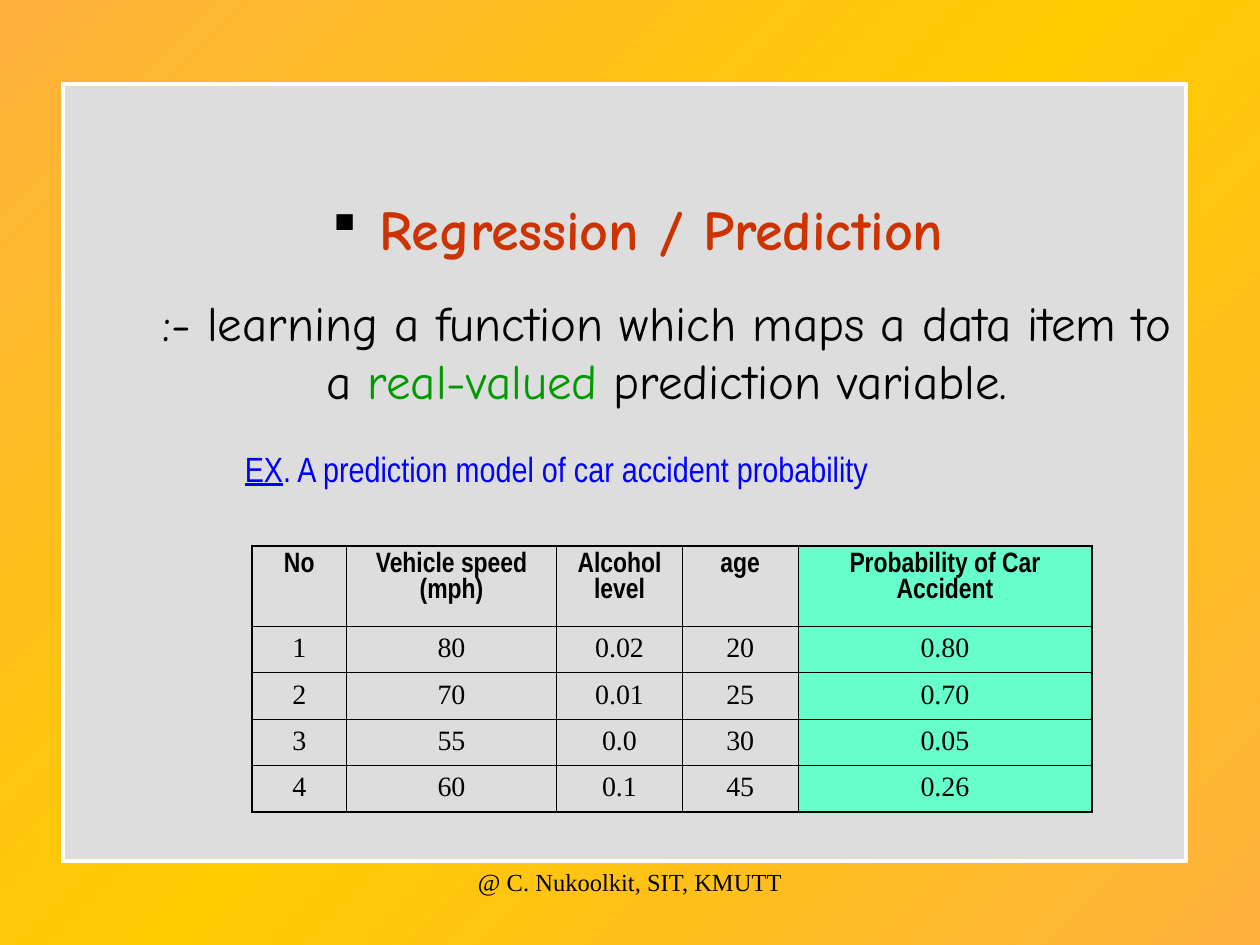
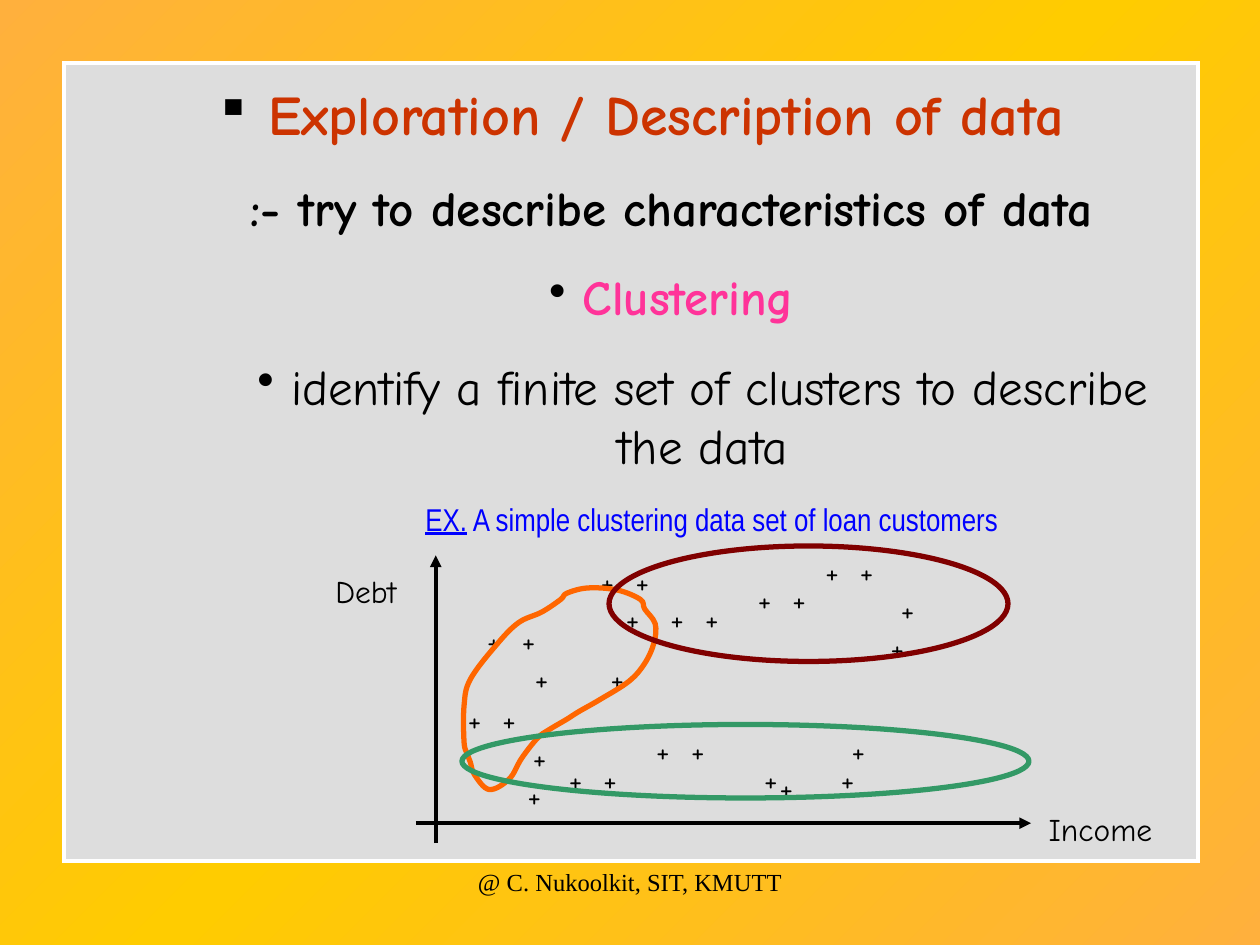
import copy
import dataclasses

import lxml.etree
import pptx
import pptx.dml.color
import pptx.enum.dml
import pptx.enum.shapes
import pptx.enum.text
import pptx.oxml.ns
import pptx.util

qn = pptx.oxml.ns.qn
CELL = pptx.util.Inches(1) // 12
COLUMNS, ROWS = 120, 90
INSET_X, INSET_Y = 1.2, 0.6
POINTS_PER_CELL = 6
PLUS_WIDTH, SPACE_WIDTH = 1.38, 0.98


@dataclasses.dataclass(frozen=True)
class Theme:
    """Colours, fonts and sizes that the slides share."""
    amber: str = "FFB03D"
    gold: str = "FFCC00"
    panel: str = "DDDDDD"
    white: str = "FFFFFF"
    ink: str = "000000"
    heading: str = "CC3300"
    green: str = "009900"
    pink: str = "FF3399"
    blue: str = "0000FF"
    mint: str = "66FFCC"
    orange: str = "FF6600"
    teal: str = "339966"
    maroon: str = "800000"
    comic: str = "Comic Neue"
    narrow: str = "Arial Narrow"
    serif: str = "Times New Roman"
    bullet: str = "OpenSymbol"
    heading_size: float = 32
    body_size: float = 28
    example_size: float = 20
    label_size: float = 18
    table_size: float = 16
    footer_size: float = 14
    frame_width: float = 2.25
    cluster_width: float = 3
    outer_border: float = 1.08
    inner_border: float = 0.45


THEME = Theme()


@dataclasses.dataclass
class Run:
    """A piece of text with one look."""
    text: str
    size: float = THEME.body_size
    font: str = THEME.comic
    color: str = THEME.ink
    bold: bool = False
    underline: bool = False
    spacing: float = 0


@dataclasses.dataclass
class Line:
    """A paragraph with its indent, space before, bullet and alignment."""
    runs: list
    margin: float = 0
    before: float = 0
    bullet: str = ""
    centered: bool = True


def cells(*lengths):
    """Turn grid lengths into slide units."""
    return [pptx.util.Emu(round(length * CELL)) for length in lengths]


def rgb(color):
    """Turn a hex string into a colour."""
    return pptx.dml.color.RGBColor.from_string(color)


def child(parent, tag, **attributes):
    """Append a drawing element with attributes."""
    element = lxml.etree.SubElement(parent, qn(tag))
    for name, value in attributes.items():
        element.set(name, str(value))
    return element


def fill_paragraph(paragraph, line):
    """Write one line into a paragraph, run by run."""
    alignments = pptx.enum.text.PP_ALIGN
    paragraph.alignment = alignments.CENTER if line.centered else alignments.LEFT
    paragraph.space_before = pptx.util.Pt(line.before)
    properties = paragraph._p.get_or_add_pPr()
    properties.set("marL", str(cells(line.margin)[0]))
    properties.set("indent", "0")
    if line.bullet:
        child(child(properties, "a:buClr"), "a:srgbClr", val=THEME.ink)
        child(properties, "a:buFont", typeface=THEME.bullet)
        child(properties, "a:buChar", char=line.bullet)
    for piece in line.runs:
        run = paragraph.add_run()
        run.text = piece.text
        run.font.size = pptx.util.Pt(piece.size)
        run.font.name = piece.font
        run.font.bold = piece.bold
        run.font.underline = piece.underline
        run.font.color.rgb = rgb(piece.color)
        if piece.spacing:
            run._r.get_or_add_rPr().set("spc", str(round(piece.spacing * 100)))


def add_text(slide, box, lines, wrap=True, top_inset=INSET_Y):
    """Add a text box holding the given lines."""
    frame = slide.shapes.add_textbox(*cells(*box)).text_frame
    frame.word_wrap = wrap
    frame.margin_left, frame.margin_top, frame.margin_right, frame.margin_bottom = cells(
        INSET_X, top_inset, INSET_X, INSET_Y)
    for index, line in enumerate(lines):
        paragraph = frame.add_paragraph() if index else frame.paragraphs[0]
        fill_paragraph(paragraph, line)


def style_shape(shape, line_color, line_width, fill_color=None):
    """Give a shape its outline and optional fill."""
    shape.shadow.inherit = False
    if fill_color:
        shape.fill.solid()
        shape.fill.fore_color.rgb = rgb(fill_color)
    else:
        shape.fill.background()
    shape.line.color.rgb = rgb(line_color)
    shape.line.width = pptx.util.Pt(line_width)


def paint_background(slide):
    """Fill the background with the diagonal three-stop gradient."""
    fill = slide.background.fill
    fill.gradient()
    fill.gradient_angle = 135
    stop_list = next(slide.element.iter(qn("a:gsLst")))
    stop_list.append(copy.deepcopy(stop_list[0]))
    colors = (THEME.amber, THEME.gold, THEME.amber)
    for index, (stop, color) in enumerate(zip(fill.gradient_stops, colors)):
        stop.color.rgb = rgb(color)
        stop.position = index / 2


def start_slide(presentation, panel_box):
    """Add a slide with background, framed panel and footer."""
    slide = presentation.slides.add_slide(presentation.slide_layouts[6])
    paint_background(slide)
    panel = slide.shapes.add_shape(pptx.enum.shapes.MSO_SHAPE.RECTANGLE, *cells(*panel_box))
    style_shape(panel, THEME.white, THEME.frame_width, THEME.panel)
    child(panel.line._get_or_add_ln(), "a:miter", lim=800000)
    footer = Run("@ C. Nukoolkit, SIT, KMUTT", THEME.footer_size, THEME.serif)
    add_text(slide, (41, 82, 38, 6), [Line([footer])])
    return slide


def heading(text):
    """Make the bulleted heading line."""
    return Line([Run(" "), Run(text, THEME.heading_size, color=THEME.heading, bold=True)], bullet="▪")


def example(label, text, size, margin=0):
    """Make the blue example caption with an underlined label."""
    return Line([Run(label, size, THEME.narrow, THEME.blue, underline=True),
                 Run(text, size, THEME.narrow, THEME.blue)], margin)


def draw_borders(cell, row, column, last_row, last_column):
    """Draw thick borders on the table's outside and thin ones within."""
    properties = cell._tc.get_or_add_tcPr()
    outside = {"L": column == 0, "R": column == last_column, "T": row == 0, "B": row == last_row}
    for index, (side, is_outer) in enumerate(outside.items()):
        width = pptx.util.Pt(THEME.outer_border if is_outer else THEME.inner_border)
        border = lxml.etree.Element(qn(f"a:ln{side}"), w=str(width))
        child(child(border, "a:solidFill"), "a:srgbClr", val=THEME.ink)
        properties.insert(index, border)


def add_data_table(slide, box, widths, heights, rows):
    """Add the table with a bold header and a tinted last column."""
    table = slide.shapes.add_table(len(rows), len(widths), *cells(*box)).table
    table.first_row = table.horz_banding = False
    for column, width in zip(table.columns, cells(*widths)):
        column.width = width
    for row, height in zip(table.rows, cells(*heights)):
        row.height = height
    last_row, last_column = len(rows) - 1, len(widths) - 1
    for row, values in enumerate(rows):
        font = THEME.serif if row else THEME.narrow
        for column, value in enumerate(values):
            cell = table.cell(row, column)
            if column == last_column:
                cell.fill.solid()
                cell.fill.fore_color.rgb = rgb(THEME.mint)
            else:
                cell.fill.background()
            run = Run(value, THEME.table_size, font, bold=row == 0)
            fill_paragraph(cell.text_frame.paragraphs[0], Line([run]))
            draw_borders(cell, row, column, last_row, last_column)


def add_axis(slide, start, end):
    """Draw an axis with an arrowhead at its end."""
    axis = slide.shapes.add_connector(
        pptx.enum.shapes.MSO_CONNECTOR.STRAIGHT, *cells(*start, *end))
    axis.line.color.rgb = rgb(THEME.ink)
    axis.line.width = pptx.util.Pt(THEME.frame_width)
    child(axis.line._get_or_add_ln(), "a:tailEnd", type="triangle")
    child(axis._element.spPr, "a:effectLst")


def mark_line(columns, left):
    """Make a line of plus marks centred on the given columns."""
    runs = [Run("+", THEME.label_size)]
    for previous, current in zip(columns, columns[1:]):
        spacing = (current - previous - PLUS_WIDTH - SPACE_WIDTH) * POINTS_PER_CELL
        runs += [Run(" ", THEME.label_size, spacing=spacing), Run("+", THEME.label_size)]
    return Line(runs, max(0, columns[0] - PLUS_WIDTH / 2 - left), centered=False)


def add_marks(slide, box, rows):
    """Add rows of plus marks in one text box."""
    add_text(slide, box, [mark_line(columns, box[0] + INSET_X) for columns in rows])


def add_ellipse(slide, box, color):
    """Draw an oval around a cluster."""
    ellipse = slide.shapes.add_shape(pptx.enum.shapes.MSO_SHAPE.OVAL, *cells(*box))
    style_shape(ellipse, color, THEME.cluster_width)


def round_segments(shape):
    """Turn the sides of a closed freeform into a smooth chain of curves."""
    points = [(int(point.get("x")), int(point.get("y"))) for point in shape._element.iter(qn("a:pt"))][:-1]
    sides = list(shape._element.iter(qn("a:lnTo")))
    for index, side in enumerate(sides):
        before, start, end, after = (points[(index + shift) % len(points)] for shift in (-1, 0, 1, 2))
        leaving = [s + (e - b) // 6 for b, s, e in zip(before, start, end)]
        arriving = [e - (a - s) // 6 for s, e, a in zip(start, end, after)]
        curve = lxml.etree.Element(qn("a:cubicBezTo"))
        for x, y in (leaving, arriving, end):
            child(curve, "a:pt", x=x, y=y)
        side.getparent().replace(side, curve)


def add_outline(slide, points, color):
    """Draw a smooth closed outline around a cluster."""
    start, *others = [cells(*point) for point in points]
    builder = slide.shapes.build_freeform(*start)
    builder.add_line_segments(others + [start], close=True)
    shape = builder.convert_to_shape()
    round_segments(shape)
    style_shape(shape, color, THEME.cluster_width)


def build_regression(presentation):
    """Build the regression slide with its accident table."""
    slide = start_slide(presentation, (6, 8, 107, 74))
    definition = Line([Run(":- learning a function which maps a data item to a "),
                       Run("real-valued", color=THEME.green),
                       Run(" prediction variable.")], 6, 17.5)
    add_text(slide, (7, 9, 107, 39.2), [heading("Regression / Prediction"), definition], top_inset=9.5)
    rows = (("No", "Vehicle speed (mph)", "Alcohol level", "age", "Probability of Car Accident"),
            ("1", "80", "0.02", "20", "0.80"),
            ("2", "70", "0.01", "25", "0.70"),
            ("3", "55", "0.0", "30", "0.05"),
            ("4", "60", "0.1", "45", "0.26"))
    add_data_table(slide, (24, 52, 80, 25.3), (9, 20, 12, 11, 28), (7.65,) + (4.42,) * 4, rows)
    caption = example("EX", ". A prediction model of car accident probability", THEME.example_size)
    add_text(slide, (22, 42, 62, 5.3), [caption], wrap=False)


def build_clustering(presentation):
    """Build the clustering slide with its scatter of loan customers."""
    slide = start_slide(presentation, (6.1, 6, 108, 76))
    add_text(slide, (8, 7, 105.9, 55.8), [
        heading("Exploration / Description of data"),
        Line([Run(":- try to describe characteristics of data", bold=True)], 6, 17.5),
        Line([Run(" "), Run("Clustering", color=THEME.pink, bold=True)], 6, 17.5, "•"),
        Line([Run(" identify a finite set of clusters to describe the data")], 12, 17.5, "•")])
    add_axis(slide, (41.5, 80.3), (41.5, 52.9))
    add_axis(slide, (39.6, 78.4), (98.2, 78.4))
    mark_boxes = (
        ((51.8, 52.9, 24.6, 8.4), ((57.9, 61.24), (60.29, 64.57, 67.9))),
        ((45.2, 58.6, 16.1, 8.4), ((47.05, 50.38), (51.62, 58.86))),
        ((44.3, 71.8, 47.3, 4.8), ((54.86, 58.19, 73.52, 80.86),)),
        ((43.3, 66.1, 14.2, 12), ((45.24, 48.57), (51.43,), (50.95,))),
        ((61.3, 69, 27.4, 8.4), ((63.14, 66.48, 81.81), (74.95,))),
        ((77.4, 52, 13.2, 12), ((79.24, 82.57), (86.48,), (85.52,))),
        ((66.1, 54.7, 17, 4.8), ((72.86, 76.19),)))
    for box, rows in mark_boxes:
        add_marks(slide, box, rows)
    for box, name in (((29.2, 53.9, 11.3, 4.8), "Debt"), ((98.2, 76.6, 13.2, 4.8), "Income")):
        add_text(slide, box, [Line([Run(name, THEME.label_size)])])
    caption = example("EX.", " A simple clustering data set of loan customers", THEME.label_size, 6)
    add_text(slide, (18, 47, 93.6, 4.8), [caption])
    add_outline(slide, (
        (46.6, 75.2), (45.2, 73.8), (44.8, 72.6), (44.5, 71.8), (44.2, 70.7), (44.2, 67.2),
        (44.8, 64.7), (47.3, 61.4), (49.4, 59.3), (51.6, 58.3), (53.4, 57.1), (54, 56.5),
        (56, 56), (58.8, 56.2), (61, 57.1), (61.4, 58), (62.4, 59.4), (62.3, 61.2),
        (61.4, 63.2), (59.9, 64.9), (57.2, 66.6), (55.1, 67.8), (54, 68.5), (52.3, 69.5),
        (51.2, 70.3), (49.7, 72.2), (48.5, 74.2)), THEME.orange)
    add_ellipse(slide, (44, 69, 54, 7), THEME.teal)
    add_ellipse(slide, (58, 52, 38, 11), THEME.maroon)


def main():
    """Build both slides and save the presentation."""
    presentation = pptx.Presentation()
    presentation.slide_width, presentation.slide_height = cells(COLUMNS, ROWS)
    build_regression(presentation)
    build_clustering(presentation)
    presentation.save("out.pptx")


if __name__ == "__main__":
    main()
